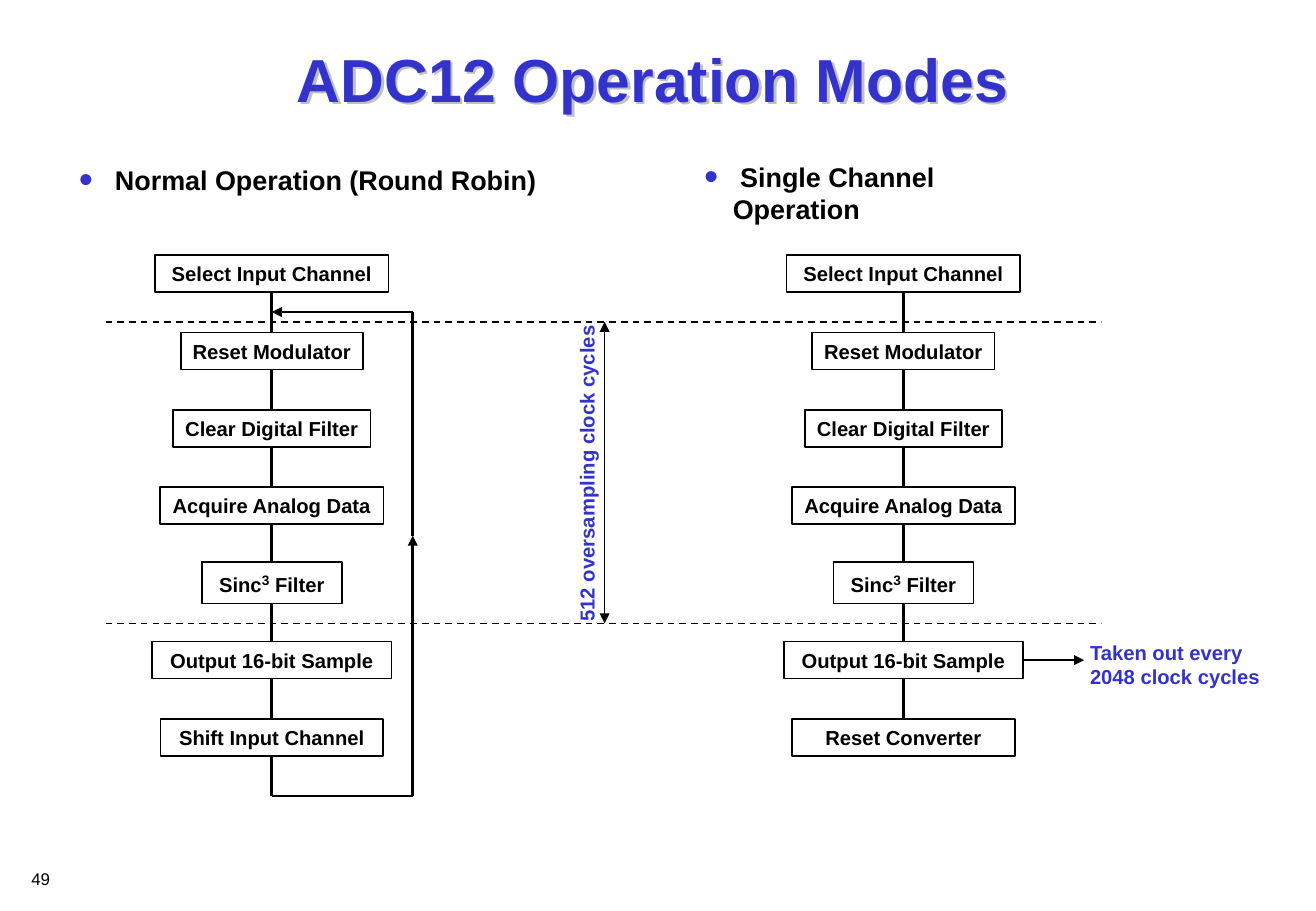
from itertools import pairwise

from lxml import etree
from pptx import Presentation
from pptx import util as u
from pptx.dml.color import RGBColor
from pptx.enum import dml, shapes, text
from pptx.oxml import ns

THEME = {
    "ink": RGBColor.from_string("000000"),
    "blue": RGBColor.from_string("3333CC"),
    "paper": RGBColor.from_string("FFFFFF"),
    "shade": RGBColor.from_string("C0C0C0"),
    "title": {"name": "Arial", "size": u.Pt(36), "bold": True},
    "topic": {"name": "Arial", "size": u.Pt(16), "bold": True},
    "label": {"name": "Arial", "size": u.Pt(12), "bold": True},
    "power": {"name": "Arial", "size": u.Pt(14), "bold": True},
    "page": {"name": "Arial", "size": u.Pt(10), "bold": False},
}
LEFT, CENTER = text.PP_ALIGN.LEFT, text.PP_ALIGN.CENTER

deck = Presentation()
deck.slide_width, deck.slide_height = u.Pt(780.48), u.Pt(540)
slide = deck.slides.add_slide(deck.slide_layouts[6])


def write(shape, words, style, color="ink", align=LEFT, inset=(7.2, 3.6), **format):
    """Fill a shape with one paragraph; text between carets is raised."""
    frame = shape.text_frame
    across, down = map(u.Pt, inset)
    values = {"margin_left": across, "margin_right": across, "margin_top": down,
              "margin_bottom": down, "word_wrap": True, **format}
    for name, value in values.items():
        setattr(frame, name, value)
    para = frame.paragraphs[0]
    para.alignment = align
    for row, line in enumerate(words.split("\n")):
        if row:
            para.add_line_break()
        for spot, part in enumerate(line.split("^")):
            run = para.add_run()
            run.text = part
            raised = spot % 2 == 1
            for name, value in THEME["power" if raised else style].items():
                setattr(run.font, name, value)
            run.font.color.rgb = THEME[color]
            if raised:
                run._r.get_or_add_rPr().set("baseline", "30000")
    return para


def link(start, end, width=1.5, dash=False, heads=()):
    """Draw a straight line; heads lists the ends with arrows: headEnd, tailEnd."""
    wire = slide.shapes.add_connector(shapes.MSO_CONNECTOR.STRAIGHT,
                                      *map(u.Pt, (*start, *end)))
    wire.line.width = u.Pt(width)
    wire.line.color.rgb = THEME["ink"]
    if dash:
        wire.line.dash_style = dml.MSO_LINE.DASH
    for head in heads:
        etree.SubElement(wire.line._get_or_add_ln(), ns.qn(f"a:{head}"), type="triangle")
    etree.SubElement(wire._element.spPr, ns.qn("a:effectLst"))
    return wire


# Title
title = slide.shapes.add_textbox(*map(u.Pt, (52.3, 7.2, 669.6, 77.8)))
write(title, "ADC12 Operation Modes", "title", "blue", CENTER,
      vertical_anchor=text.MSO_ANCHOR.MIDDLE)
glow = etree.SubElement(title._element.spPr, ns.qn("a:effectLst"))
cast = etree.SubElement(glow, ns.qn("a:outerShdw"), dist="25400", dir="2700000")
etree.SubElement(cast, ns.qn("a:srgbClr"), val=str(THEME["shade"]))

# Topics
for words, left, top, width in (
    (" Normal Operation (Round Robin)", 46.8, 97, 282),
    (" Single Channel Operation", 417.6, 95, 206),
):
    topic = slide.shapes.add_textbox(*map(u.Pt, (left, top, width, 19.5)))
    para = write(topic, words, "topic", inset=(0, 0))
    props = para._p.get_or_add_pPr()
    props.set("marL", str(u.Pt(17)))
    props.set("indent", str(-u.Pt(17)))
    tint = etree.SubElement(props, ns.qn("a:buClr"))
    etree.SubElement(tint, ns.qn("a:srgbClr"), val=str(THEME["blue"]))
    etree.SubElement(props, ns.qn("a:buSzPct"), val="150000")
    etree.SubElement(props, ns.qn("a:buFont"), typeface="Arial")
    etree.SubElement(props, ns.qn("a:buChar"), char="•")

# Flow charts
FIRST, STEP = 162.3, 45.8
AXES = (161.2, 535.8)
steps = [
    ("Select Input Channel", 138.5, 22),
    ("Reset Modulator", 108, 22),
    ("Clear Digital Filter", 117, 22),
    ("Acquire Analog Data", 132.5, 22),
    ("Sinc^3^ Filter", 83, 24.5),
    ("Output 16-bit Sample", 142, 22),
]
flows = []
for axis, last in zip(AXES, ("Shift Input Channel", "Reset Converter")):
    flow = []
    for row, (words, width, height) in enumerate([*steps, (last, 132, 22)]):
        box = slide.shapes.add_shape(
            shapes.MSO_SHAPE.FLOWCHART_PROCESS,
            *map(u.Pt, (axis - width / 2, FIRST + row * STEP - height / 2, width, height)))
        box.shadow.inherit = False
        box.fill.solid()
        box.fill.fore_color.rgb = THEME["paper"]
        tint = box._element.spPr.find(ns.qn("a:solidFill"))[0]
        etree.SubElement(tint, ns.qn("a:alpha"), val="50000")
        box.line.color.rgb = THEME["ink"]
        box.line.width = u.Pt(1)
        write(box, words, "label", align=CENTER, word_wrap=False,
              vertical_anchor=text.MSO_ANCHOR.MIDDLE)
        flow.append(box)
    for upper, lower in pairwise(flow):
        wire = link((axis, 0), (axis, 9))
        wire.begin_connect(upper, 2)
        wire.end_connect(lower, 0)
    flows.append(flow)

# Round robin loop
BASE, SIDE, BACK = 471.8, 244.8, 185
stem = link((AXES[0], 448), (AXES[0], BASE))
stem.begin_connect(flows[0][-1], 2)
corners = [(AXES[0], BASE), (SIDE, BASE), (SIDE, 317.5), (SIDE, BACK), (AXES[0], BACK)]
for (start, end), heads in zip(pairwise(corners), ((), ("tailEnd",), (), ("tailEnd",))):
    link(start, end, heads=heads)

# Oversampling span
TOP, FOOT = 190.8, 369.5
for level in (TOP, FOOT):
    link((62.7, level), (653, level), width=1, dash=True)
link((358.6, TOP), (358.6, FOOT), width=1, heads=("headEnd", "tailEnd"))
span = slide.shapes.add_textbox(*map(u.Pt, (245.9, 262.7, 204, 21.6)))
span.rotation = 270
write(span, "512 oversampling clock cycles", "label", "blue")

# Sample output
level = FIRST + 5 * STEP
wire = link((607, level), (643, level), heads=("tailEnd",))
wire.begin_connect(flows[1][5], 3)
note = slide.shapes.add_textbox(*map(u.Pt, (639.4, 375.8, 115.2, 36)))
write(note, "Taken out every\n2048 clock cycles", "label", "blue", word_wrap=False)

# Page number
page = slide.shapes.add_textbox(*map(u.Pt, (11.5, 511.2, 37.4, 19.4)))
write(page, "49", "page")

deck.save("out.pptx")
